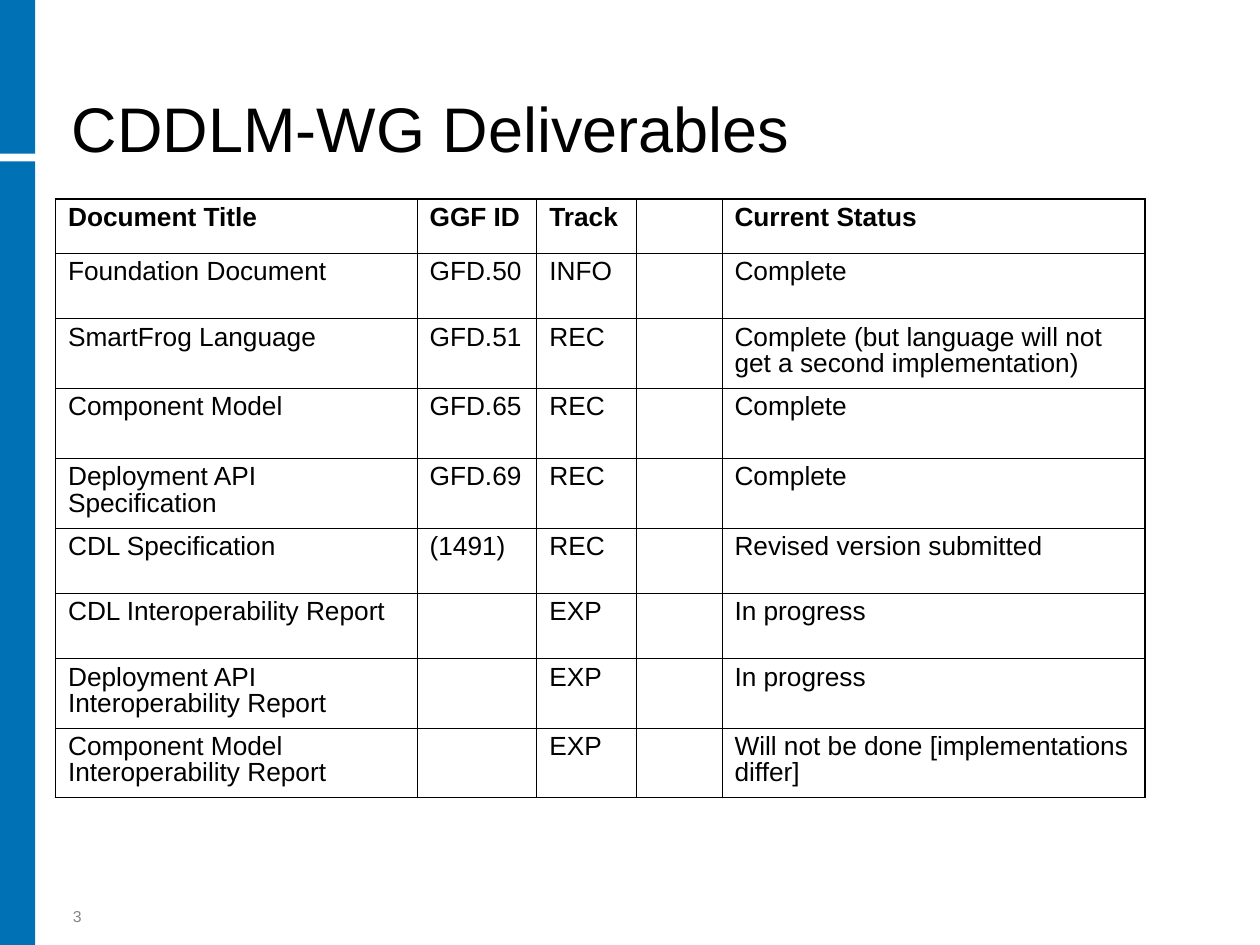
import dataclasses

import pptx
import pptx.dml.color
import pptx.enum.shapes
import pptx.enum.text
import pptx.oxml
import pptx.oxml.ns
import pptx.util

Inches = pptx.util.Inches
Pt = pptx.util.Pt


@dataclasses.dataclass(frozen=True)
class Theme:
    font: str = "Arial"
    ink: str = "000000"
    accent: str = "0071B4"
    muted: str = "848589"
    title_size: float = 36
    table_size: float = 15
    number_size: float = 9
    line_spacing: float = 0.9
    outer_line: float = 1.08
    inner_line: float = 0.45


THEME = Theme()

COLUMN_WIDTHS = [2.87, 0.95, 0.79, 0.68, 3.36]
ROW_HEIGHTS = [0.43, 0.52, 0.55, 0.56, 0.55, 0.52, 0.52, 0.55, 0.55]
DELIVERABLES = [
    ["Document Title", "GGF ID", "Track", "", "Current Status"],
    ["Foundation Document", "GFD.50", "INFO", "", "Complete"],
    ["SmartFrog Language", "GFD.51", "REC", "",
     "Complete (but language will not get a second implementation)"],
    ["Component Model", "GFD.65", "REC", "", "Complete"],
    ["Deployment API Specification", "GFD.69", "REC", "", "Complete"],
    ["CDL Specification", "(1491)", "REC", "", "Revised version submitted"],
    ["CDL Interoperability Report", "", "EXP", "", "In progress"],
    ["Deployment API Interoperability Report", "", "EXP", "", "In progress"],
    ["Component Model Interoperability Report", "", "EXP", "",
     "Will not be done [implementations differ]"],
]


def colour(value):
    return pptx.dml.color.RGBColor.from_string(value)


def write(text_frame, text, size, ink, bold=False):
    """Set one left-aligned paragraph and format its runs."""
    text_frame.text = text
    para = text_frame.paragraphs[0]
    para.alignment = pptx.enum.text.PP_ALIGN.LEFT
    for span in para.runs:
        span.font.name = THEME.font
        span.font.size = Pt(size)
        span.font.bold = bold
        span.font.color.rgb = colour(ink)
    return para


def place(shape, box):
    shape.left, shape.top, shape.width, shape.height = map(Inches, box)


def anchor_bottom(text_frame):
    text_frame.word_wrap = True
    text_frame.auto_size = pptx.enum.text.MSO_AUTO_SIZE.NONE
    text_frame.vertical_anchor = pptx.enum.text.MSO_ANCHOR.BOTTOM


def add_side_band(page, box, split, gap):
    """Vertical band, cut by a gap that starts at the split height."""
    left, top, width, height = box
    lower_top = split + gap
    for part_top, part_height in [(top, split), (top + lower_top, height - lower_top)]:
        bar = page.shapes.add_shape(
            pptx.enum.shapes.MSO_SHAPE.RECTANGLE,
            *map(Inches, (left, part_top, width, part_height)))
        bar.shadow.inherit = False
        bar.fill.solid()
        bar.fill.fore_color.rgb = colour(THEME.accent)
        bar.line.fill.background()


def add_title(page, box, text):
    title = page.shapes.title
    place(title, box)
    anchor_bottom(title.text_frame)
    para = write(title.text_frame, text, THEME.title_size, THEME.ink)
    para.line_spacing = THEME.line_spacing


def set_borders(cell, widths):
    """Draw the left, right, top and bottom lines of a cell."""
    properties = cell._tc.get_or_add_tcPr()
    for side, width in zip("LRTB", widths):
        properties.append(pptx.oxml.parse_xml(
            f'<a:ln{side} {pptx.oxml.ns.nsdecls("a")} w="{Pt(width)}">'
            f'<a:solidFill><a:srgbClr val="{THEME.ink}"/></a:solidFill>'
            f'</a:ln{side}>'))


def add_deliverables_table(page, box, rows):
    last_row, last_column = len(rows) - 1, len(COLUMN_WIDTHS) - 1
    table = page.shapes.add_table(
        len(rows), len(COLUMN_WIDTHS), *map(Inches, box)).table
    table.horz_banding = False
    for column, width in zip(table.columns, COLUMN_WIDTHS):
        column.width = Inches(width)
    for row, height in zip(table.rows, ROW_HEIGHTS):
        row.height = Inches(height)

    for r, row in enumerate(rows):
        for c, text in enumerate(row):
            cell = table.cell(r, c)
            edges = (c == 0, c == last_column, r == 0, r == last_row)
            set_borders(cell, [THEME.outer_line if edge else THEME.inner_line
                               for edge in edges])
            cell.fill.background()
            para = write(cell.text_frame, text, THEME.table_size, THEME.ink, bold=r == 0)
            para.line_spacing = THEME.line_spacing
            para.space_after = Pt(1.9)


def add_page_number(page, box, number):
    text_frame = page.shapes.add_textbox(*map(Inches, box)).text_frame
    anchor_bottom(text_frame)
    write(text_frame, str(number), THEME.number_size, THEME.muted)


def build_deliverables_page(deck):
    page = deck.slides.add_slide(deck.slide_layouts[5])  # title only
    add_side_band(page, (0, 0, 0.28, 7.5), split=1.22, gap=0.06)
    add_title(page, (0.47, 0.12, 9.02, 1.25), "CDDLM-WG Deliverables")
    add_deliverables_table(
        page, (0.44, 1.58, sum(COLUMN_WIDTHS), sum(ROW_HEIGHTS)), DELIVERABLES)
    add_page_number(page, (0.48, 7.16, 0.42, 0.24), 3)


def main():
    deck = pptx.Presentation()
    deck.slide_width, deck.slide_height = Inches(10), Inches(7.5)
    build_deliverables_page(deck)
    deck.save("out.pptx")


if __name__ == "__main__":
    main()
